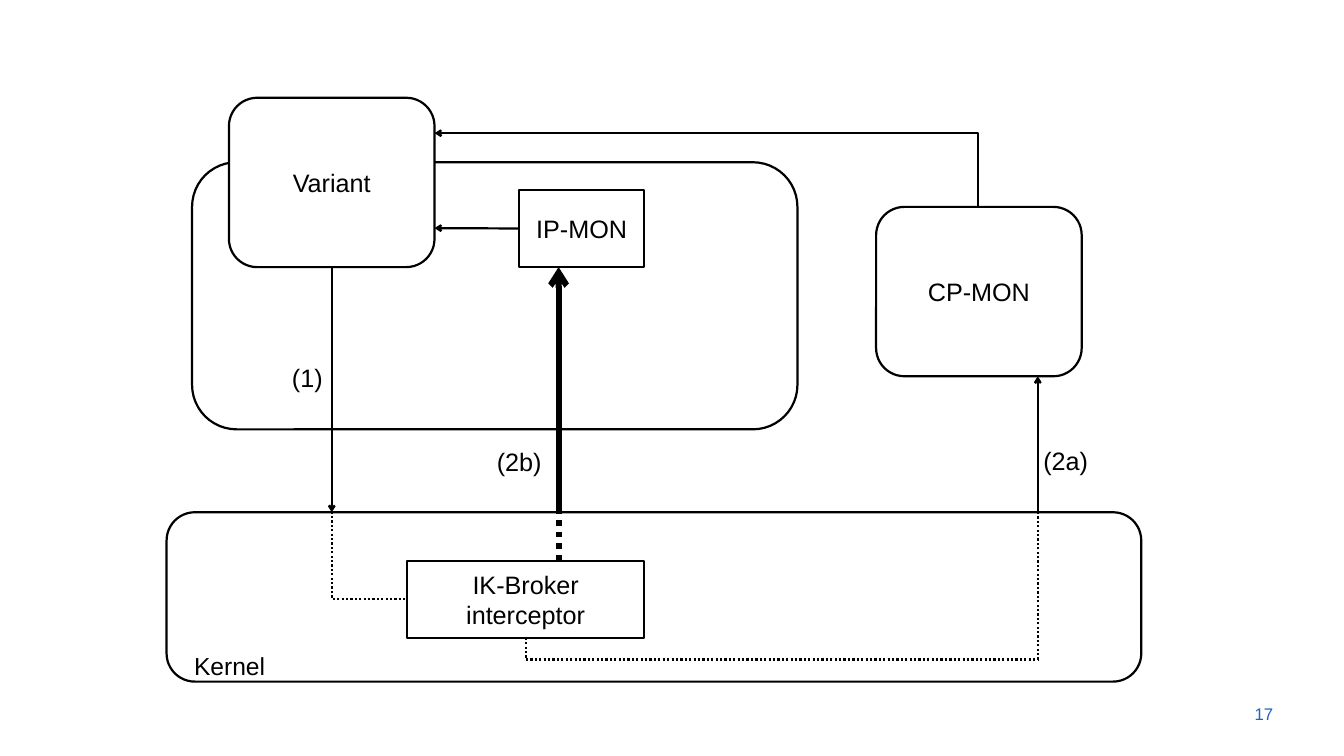
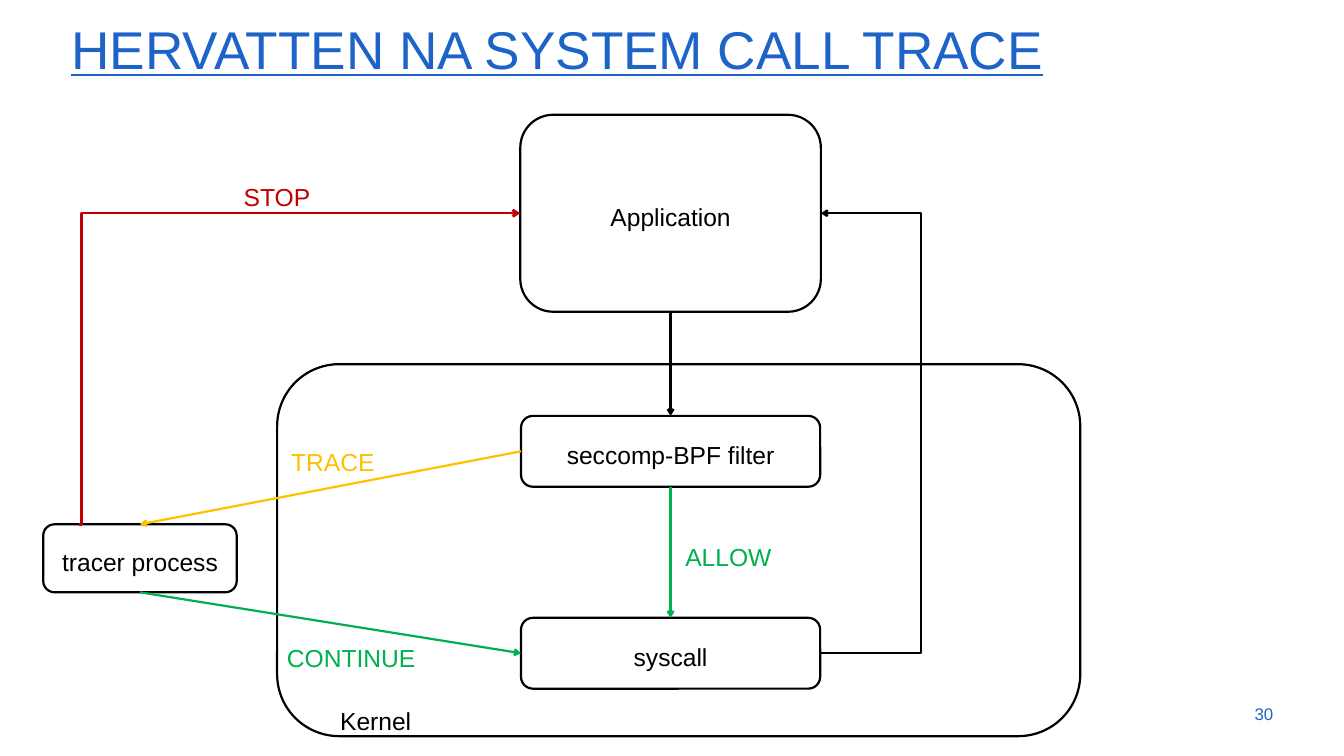
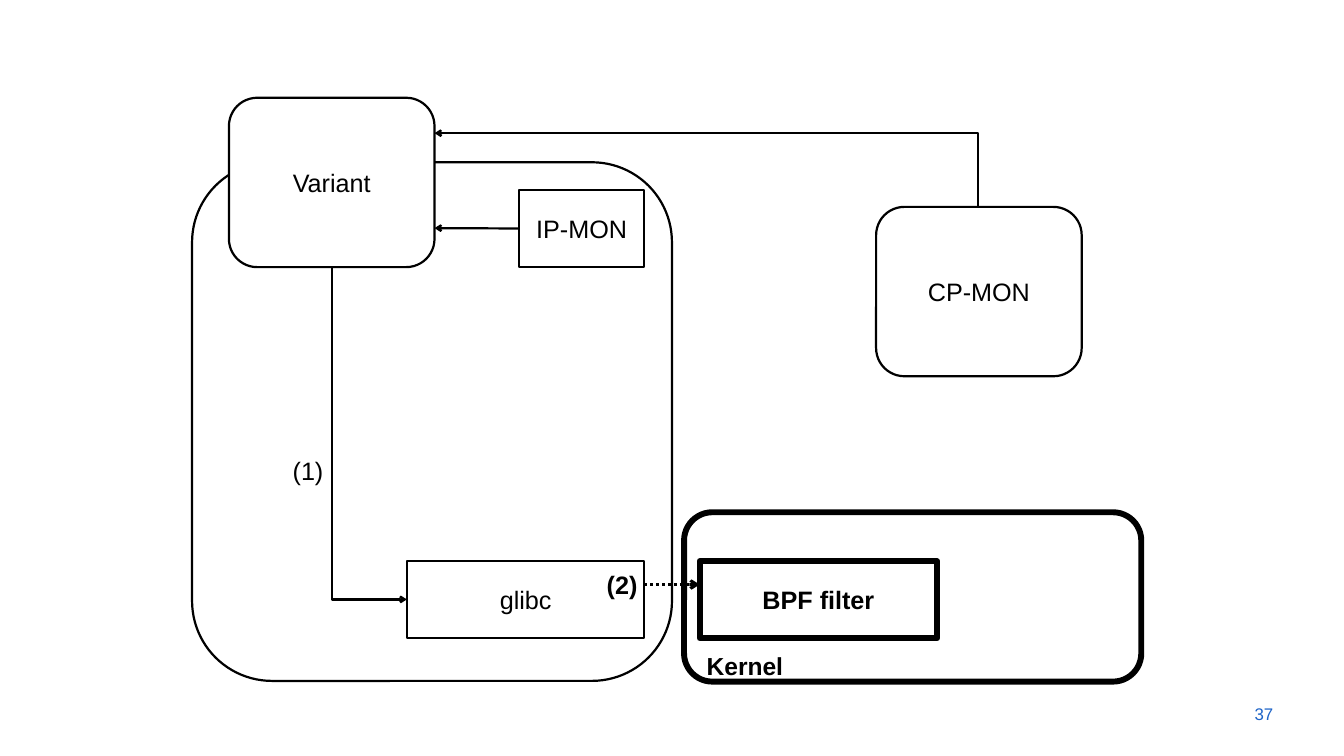
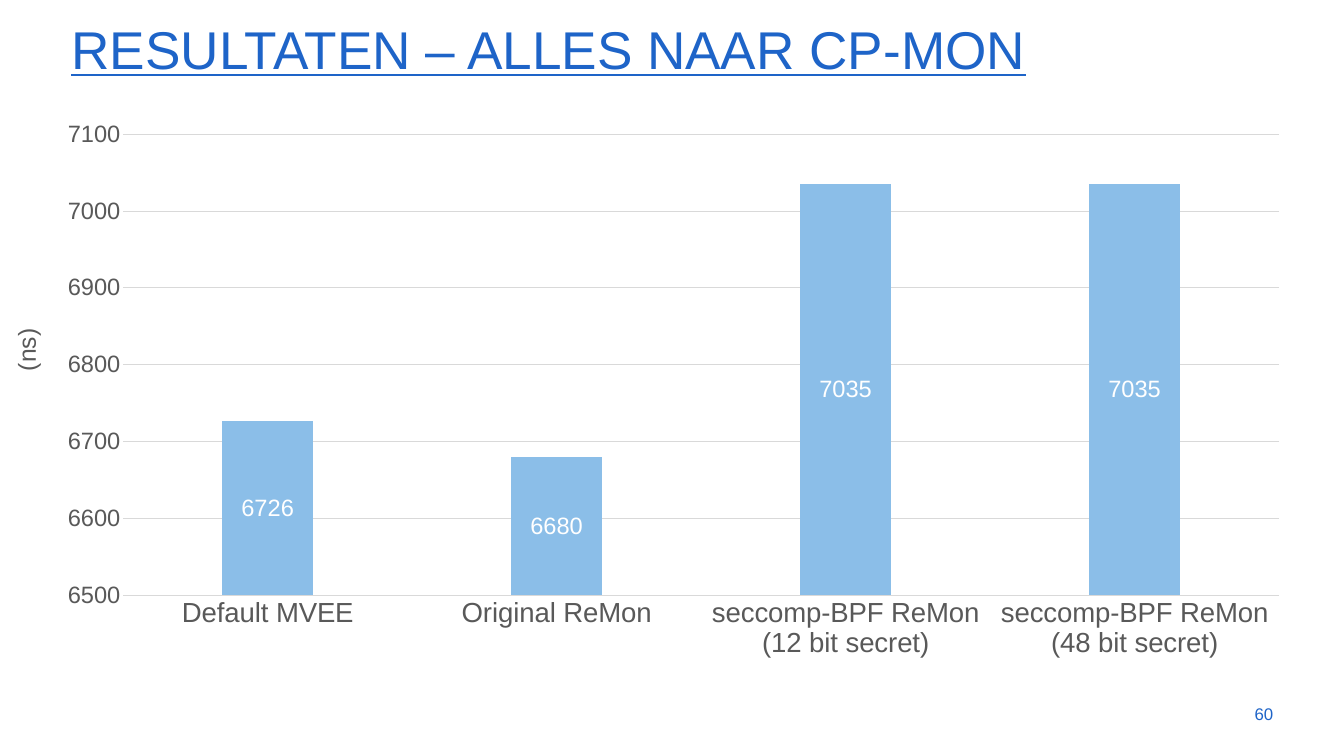
from functools import reduce
from lxml.etree import SubElement as Sub
from pptx import Presentation
from pptx.chart.data import CategoryChartData as Data
from pptx.dml.color import RGBColor as Rgb
from pptx.enum.chart import XL_CHART_TYPE as Chart, XL_LABEL_POSITION as Place, XL_TICK_MARK as Tick
from pptx.enum.dml import MSO_LINE as Dash
from pptx.enum.shapes import MSO_CONNECTOR as Link, MSO_SHAPE as Form
from pptx.enum.text import MSO_ANCHOR as Anchor, PP_ALIGN as Align
from pptx.oxml.ns import qn
from pptx.util import Inches, Pt

BLACK = Rgb(0x00, 0x00, 0x00)
WHITE = Rgb(0xFF, 0xFF, 0xFF)
BLUE = Rgb(0x1E, 0x64, 0xC8)
RED = Rgb(0xC0, 0x00, 0x00)
GREEN = Rgb(0x00, 0xB0, 0x50)
AMBER = Rgb(0xFF, 0xC0, 0x00)
GREY = Rgb(0x59, 0x59, 0x59)
RULE = Rgb(0xD9, 0xD9, 0xD9)
SKY = Rgb(0x8B, 0xBE, 0xE8)

CELL = Inches(1)
COLS, ROWS = 18.96, 10.67
TOP, LEFT, BOTTOM, RIGHT = range(4)
SIDES = ((1, 0), (0, 1), (1, 2), (2, 1))
TAIL, HEAD = "a:tailEnd", "a:headEnd"


def face(size, tint=BLACK, **more):
    return {"name": "Arial", "size": Pt(size), "color.rgb": tint, **more}


def pen(tint=BLACK, width=2.25, **more):
    return {"color.rgb": tint, "width": Pt(width), **more}


TITLE = face(54, BLUE, underline=True)
PAGE = face(17.1, BLUE)
NODE = face(25.6)
NOTE = face(25)
THIN = pen()
THICK = pen(width=6)
DOTS = pen(dash_style=Dash.ROUND_DOT)


def put(thing, form):
    for key, value in form.items():
        *way, last = key.split(".")
        setattr(reduce(getattr, way, thing), last, value)


def cells(spots):
    return [round(n * CELL) for n in spots]


def write(shape, text, font, gap=None, align=Align.LEFT, anchor=Anchor.TOP, wrap=True):
    frame = shape.text_frame
    put(frame, {"word_wrap": wrap, "vertical_anchor": anchor, "text": text})
    para = frame.paragraphs[0]
    put(para, {"alignment": align, "line_spacing": gap})
    put(para.runs[0].font, font)


def label(slide, at, text, font=NOTE, gap=1.2, **more):
    shape = slide.shapes.add_textbox(*cells(at))
    write(shape, text, font, gap, **more)
    return shape


def box(slide, at, text="", form=Form.ROUNDED_RECTANGLE, line=THIN, font=NODE, gap=None, fill=WHITE):
    shape = slide.shapes.add_shape(form, *cells(at))
    shape.shadow.inherit = False
    if fill is None:
        shape.fill.background()
    else:
        shape.fill.solid()
        shape.fill.fore_color.rgb = fill
    put(shape.line, line)
    if text:
        write(shape, text, font, gap, Align.CENTER, Anchor.MIDDLE)
    return shape


def joined(end):
    return not isinstance(end[0], (int, float))


def point(end):
    if not joined(end):
        return cells(end)
    shape, side = end
    across, down = SIDES[side]
    return shape.left + shape.width * across // 2, shape.top + shape.height * down // 2


def wire(slide, start, end, line=THIN, tip=TAIL, bend=None):
    first, last = point(start), point(end)
    kind = Link.STRAIGHT if bend is None else Link.ELBOW
    link = slide.shapes.add_connector(kind, *first, *last)
    put(link.line, line)
    if joined(start):
        link.begin_connect(*start)
    if joined(end):
        link.end_connect(*end)
    props = link.element.spPr
    if tip:
        Sub(props.find(qn("a:ln")), qn(tip), type="arrow")
    Sub(props, qn("a:effectLst"))
    if bend is not None:
        share = (bend * CELL - first[0]) / (last[0] - first[0])
        guides = props.find(qn("a:prstGeom")).find(qn("a:avLst"))
        Sub(guides, qn("a:gd"), name="adj1", fmla=f"val {round(share * 100000)}")


def page(deck, number, title=None):
    slide = deck.slides.add_slide(deck.slide_layouts[6])
    if title:
        label(slide, (0.91, 0.28, 17.18, 0.94), title, TITLE, 0.9)
    label(slide, (17.05, 9.79, 1.01, 0.57), str(number), PAGE, None,
          align=Align.RIGHT, anchor=Anchor.MIDDLE)
    return slide


def scene(deck, number, frame, kernel, edge, broker):
    slide = page(deck, number)
    box(slide, frame, fill=None)
    variant = box(slide, (3.23, 1.38, 2.9, 2.39), "Variant")
    box(slide, (12.36, 2.92, 2.9, 2.39), "CP-MON")
    box(slide, kernel, line=edge)
    inner = box(slide, (7.32, 2.68, 1.77, 1.09), "IP-MON", Form.RECTANGLE)
    box(slide, (5.74, 7.92, 3.35, 1.09), broker, Form.RECTANGLE)
    wire(slide, (6.13, 1.88), (13.81, 2.92), tip=HEAD, bend=13.8)
    wire(slide, (inner, LEFT), (6.13, 3.22))
    return slide, variant


def broker(deck):
    slide, variant = scene(deck, 17, (2.71, 2.29, 8.54, 3.77), (2.35, 7.23, 13.75, 2.39),
                           THIN, "IK-Broker interceptor")
    wire(slide, (variant, BOTTOM), (4.68, 7.23))
    wire(slide, (4.68, 7.23), (5.74, 8.46), DOTS, None, 4.69)
    wire(slide, (14.64, 7.23), (14.64, 5.31))
    wire(slide, (7.88, 7.92), (7.88, 7.23), {**THICK, **{"dash_style": Dash.ROUND_DOT}}, None)
    wire(slide, (7.88, 7.23), (7.88, 3.77), THICK)
    wire(slide, (7.41, 9.01), (14.64, 9.31), DOTS, None, 7.42)
    wire(slide, (14.64, 9.31), (14.64, 7.23), DOTS, None)
    label(slide, (2.64, 9.05, 1.43, 0.56), "Kernel")
    for text, x, y, wide in (("(1)", 4.02, 5.07, 0.66), ("(2a)", 14.62, 6.24, 0.91), ("(2b)", 6.91, 6.25, 0.91)):
        label(slide, (x, y, wide, 0.53), text, NODE, None)


def trace(deck):
    slide = page(deck, 30, "HERVATTEN NA SYSTEM CALL TRACE")
    box(slide, (3.91, 5.14, 11.33, 5.25), fill=None)
    app, check, call, tracer = [
        box(slide, at, text, font=NOTE, gap=1.2, fill=None) for text, at in (
            ("Application", (7.34, 1.62, 4.24, 2.78)),
            ("seccomp-BPF filter", (7.35, 5.87, 4.22, 1)),
            ("syscall", (7.35, 8.72, 4.22, 1)),
            ("tracer process", (0.61, 7.4, 2.73, 0.96)))]
    for start, end, tint in (
            ((app, BOTTOM), (check, TOP), BLACK),
            ((check, BOTTOM), (call, TOP), GREEN),
            ((check, LEFT), (tracer, TOP), AMBER),
            ((tracer, BOTTOM), (call, LEFT), GREEN)):
        wire(slide, start, end, pen(tint))
    wire(slide, (11.57, 9.22), (11.58, 3.01), bend=13.01)
    wire(slide, (1.12, 7.4), (7.34, 3.01), pen(RED, 2.5), bend=1.15)
    for text, x, y, wide, tint in (
            ("STOP", 3.34, 2.44, 1.21, RED),
            ("TRACE", 4.01, 6.17, 1.46, AMBER),
            ("ALLOW", 9.57, 7.51, 1.46, GREEN),
            ("CONTINUE", 3.95, 8.94, 2.07, GREEN),
            ("Kernel", 4.7, 9.83, 1.25, BLACK)):
        label(slide, (x, y, wide, 0.56), text, face(25, tint))


def filtered(deck):
    slide, variant = scene(deck, 37, (2.71, 2.29, 6.77, 7.32), (9.65, 7.23, 6.45, 2.39), THICK, "glibc")
    strong = {**NODE, "bold": True}
    box(slide, (9.87, 7.92, 3.35, 1.09), "BPF filter", Form.RECTANGLE, THICK, strong)
    wire(slide, (9.09, 8.25), (9.87, 8.25), {**DOTS, "width": Pt(3)})
    wire(slide, (4.68, 3.77), (5.74, 8.46), bend=4.69)
    label(slide, (4.03, 6.38, 0.65, 0.53), "(1)", NODE, None)
    label(slide, (8.46, 7.98, 0.91, 0.53), "(2)", strong, None)
    label(slide, (9.87, 9.05, 1.43, 0.56), "Kernel", {**NOTE, "bold": True})


def results(deck):
    slide = page(deck, 60, "RESULTATEN – ALLES NAAR CP-MON")
    data = Data(number_format="General")
    data.categories = ["Default MVEE", "Original ReMon",
                       "seccomp-BPF ReMon (12 bit secret)", "seccomp-BPF ReMon (48 bit secret)"]
    data.add_series("Series 1", (6726, 6680, 7035, 7035))
    chart = slide.shapes.add_chart(Chart.COLUMN_CLUSTERED, *cells((0.6, 1.55, 17.8, 7.9)), data).chart
    put(chart, {"has_legend": False, "has_title": False})
    put(chart.font, face(10))
    ticks = {"major_tick_mark": Tick.NONE, "minor_tick_mark": Tick.NONE}
    rule = pen(RULE, 0.75)
    groups, values = chart.category_axis, chart.value_axis
    put(groups, ticks)
    put(groups.tick_labels.font, face(28, GREY))
    put(groups.format.line, rule)
    put(values, {**ticks, "minimum_scale": 6500, "maximum_scale": 7100,
                 "major_unit": 100, "has_major_gridlines": True})
    put(values.tick_labels.font, face(24, GREY))
    put(values.major_gridlines.format.line, rule)
    values.format.line.fill.background()
    plot = chart.plots[0]
    put(plot, {"gap_width": 219, "overlap": -27, "vary_by_categories": False, "has_data_labels": True})
    put(plot.data_labels, {"show_value": True, "position": Place.CENTER})
    put(plot.data_labels.font, face(24, WHITE))
    fill = plot.series[0].format.fill
    fill.solid()
    fill.fore_color.rgb = SKY
    unit = label(slide, (-0.1, 4.65, 0.81, 0.56), "(ns)", face(25, GREY), wrap=False)
    unit.rotation = 270


def main():
    deck = Presentation()
    put(deck, {"slide_width": round(COLS * CELL), "slide_height": round(ROWS * CELL)})
    for build in (broker, trace, filtered, results):
        build(deck)
    deck.save("out.pptx")


if __name__ == "__main__":
    main()
